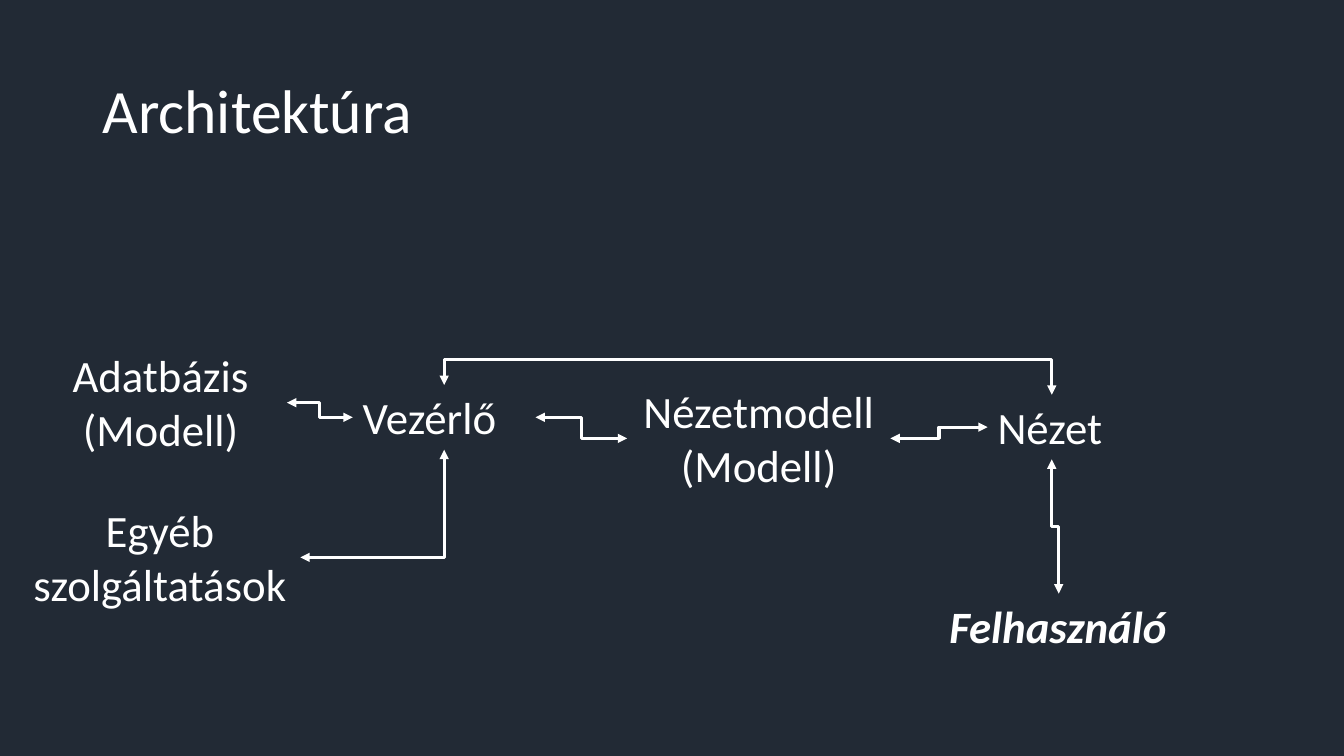
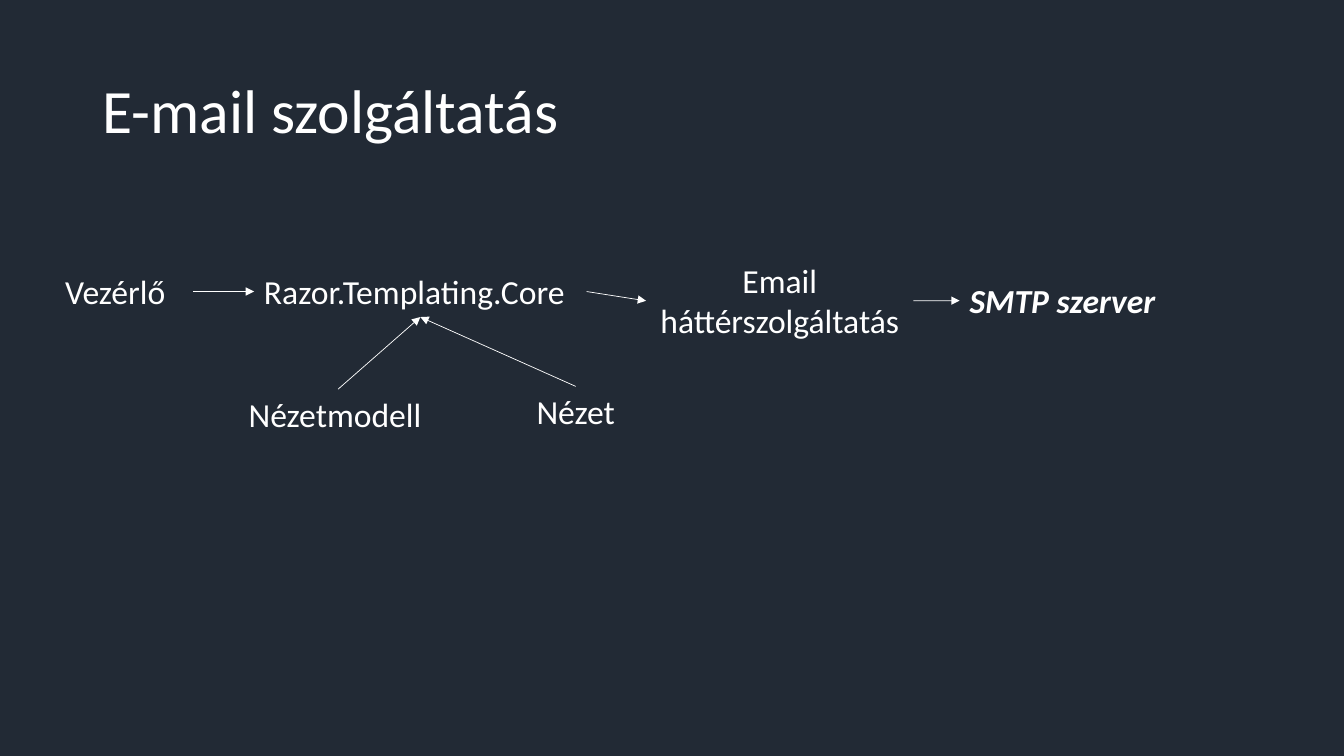
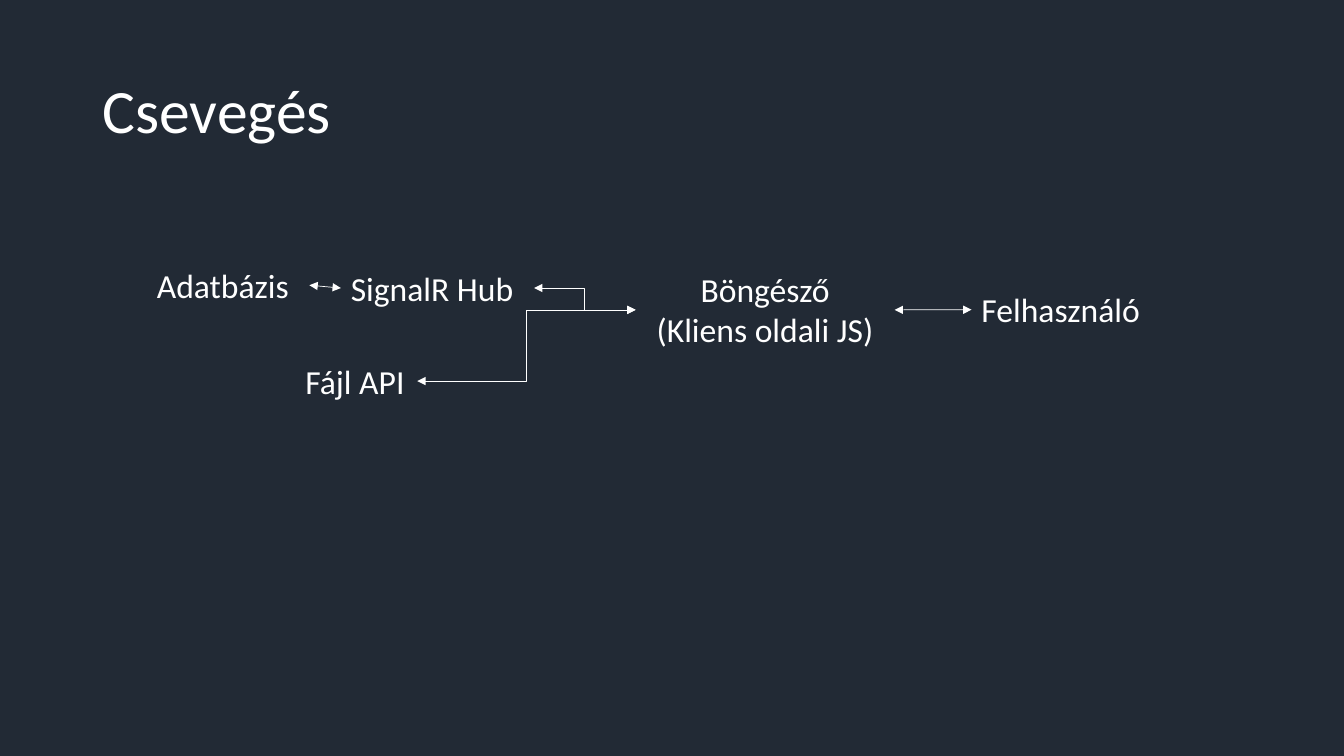
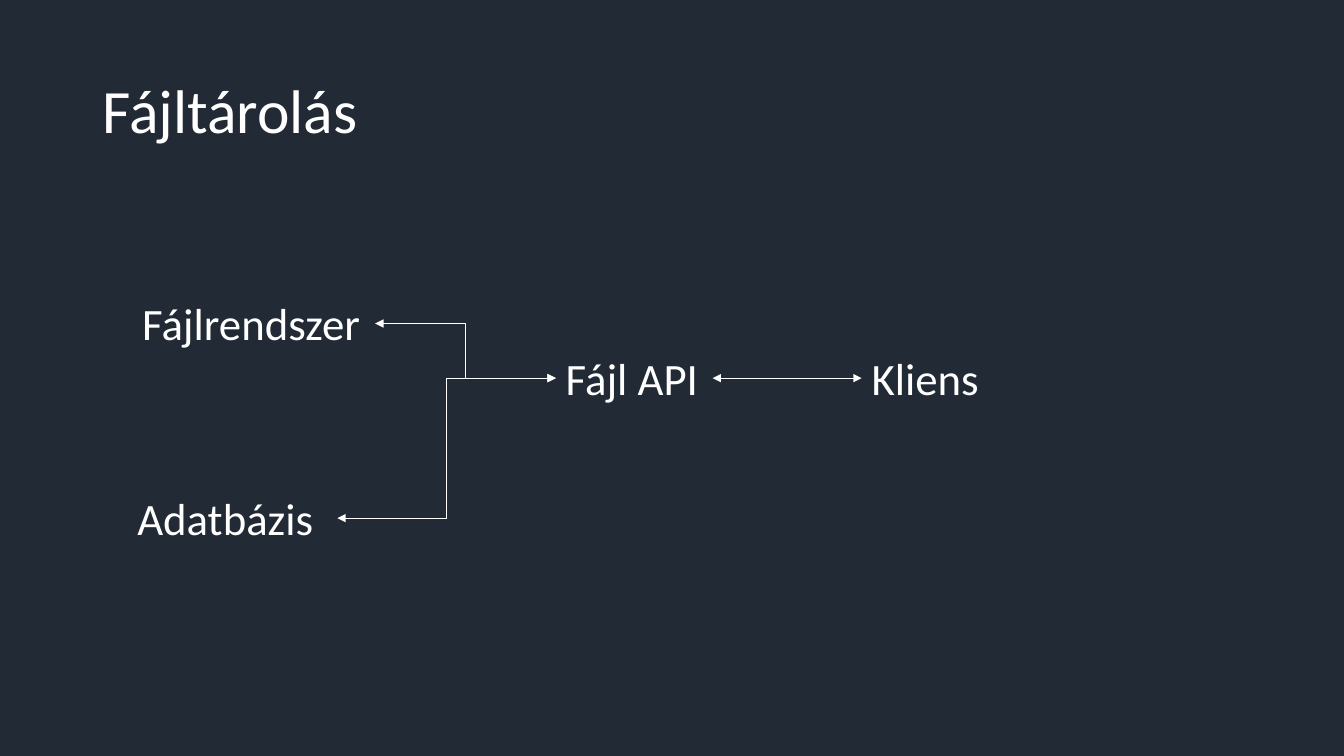
from lxml import etree
from pptx import Presentation
from pptx.dml.color import RGBColor
from pptx.enum.shapes import MSO_CONNECTOR
from pptx.enum.text import MSO_ANCHOR, MSO_AUTO_SIZE, PP_ALIGN
from pptx.oxml.ns import qn
from pptx.util import Pt

LINE, BENT = MSO_CONNECTOR.STRAIGHT, MSO_CONNECTOR.ELBOW
LEFT, MID = PP_ALIGN.LEFT, PP_ALIGN.CENTER
GROW, FIXED = MSO_AUTO_SIZE.SHAPE_TO_FIT_TEXT, MSO_AUTO_SIZE.NONE
CENTRE = MSO_ANCHOR.MIDDLE
TOP, WEST, BASE, EAST = range(4)  # sides of a box

HUES = {"back": "222A35", "ink": "FFFFFF"}
FONT = "Calibri"
BOTH = ("headEnd", "tailEnd")
AHEAD = ("tailEnd",)


def hue(name):
    return RGBColor.from_string(HUES[name])


def apply(thing, form):
    for key, val in form.items():
        setattr(thing, key, val)


def style(frame, size, align, **more):
    for para in frame.paragraphs:
        para.alignment = align
        apply(para.font, {"name": FONT, "size": Pt(size), **more})
        para.font.color.rgb = hue("ink")


# Shared background and title place
def setup():
    deck = Presentation()
    apply(deck, {"slide_width": Pt(960), "slide_height": Pt(540)})
    fill = deck.slide_master.background.fill
    fill.solid()
    fill.fore_color.rgb = hue("back")
    title = deck.slide_layouts[5].placeholders[0]
    apply(title, {"left": Pt(66), "top": Pt(28.75),
                  "width": Pt(828), "height": Pt(104.4)})
    return deck


def page(deck, text):
    slide = deck.slides.add_slide(deck.slide_layouts[5])
    frame = slide.shapes.title.text_frame
    frame.text = text
    apply(frame, {"vertical_anchor": CENTRE, "auto_size": FIXED})
    style(frame, 44, LEFT)
    frame.paragraphs[0].line_spacing = 0.9
    return slide


# Text label; its height follows from font size and row count
def label(slide, text, x, y, wide, size, align=LEFT, rows=1, **more):
    high = 7.2 + 1.22 * size * rows
    box = slide.shapes.add_textbox(Pt(x), Pt(y), Pt(wide), Pt(high))
    frame = box.text_frame
    frame.text = text
    apply(frame, {"word_wrap": True, "auto_size": GROW})
    style(frame, size, align, **more)
    return box


# Arrow between the sides of two labels
def link(slide, start, out, end, into, kind=LINE, ends=BOTH, width=0.5):
    wire = slide.shapes.add_connector(kind, 0, 0, 0, 0)
    wire.begin_connect(start, out)
    wire.end_connect(end, into)
    wire.line.width = Pt(width)
    wire.line.color.rgb = hue("ink")
    for tip in ends:
        etree.SubElement(wire.line._ln, qn("a:" + tip), type="triangle")
    etree.SubElement(wire._element.spPr, qn("a:effectLst"))
    return wire


def corner(wire):
    """Bend once only: across, then up or down."""
    wire._element.spPr.find(qn("a:prstGeom")).set("prst", "bentConnector2")


def upright(wire, rise=None):
    """Turn an elbow to leave vertically; rise lifts its bar above the start."""
    dx, dy = wire.end_x - wire.begin_x, wire.end_y - wire.begin_y
    mid_x, mid_y = wire.begin_x + dx // 2, wire.begin_y + dy // 2
    wide, high = abs(dy), abs(dx)
    apply(wire, {"left": mid_x - wide // 2, "top": mid_y - high // 2,
                 "width": wide, "height": high})
    frame = wire._element.spPr.find(qn("a:xfrm"))
    turn = {"rot": 270 * 60000, "flipH": int(dy > 0), "flipV": int(dx < 0)}
    for key, val in turn.items():
        frame.set(key, str(val))
    if rise:
        guides = wire._element.spPr.find(qn("a:prstGeom")).get_or_add_avLst()
        part = round(-Pt(rise) / wide * 100000)
        etree.SubElement(guides, qn("a:gd"), name="adj1", fmla=f"val {part}")


def design(deck):
    slide = page(deck, "Architektúra")
    ctrl = label(slide, "Vezérlő", 252, 275, 130.5, 32)
    view = label(slide, "Nézet", 705.5, 282, 91.5, 32)
    model = label(slide, "Nézetmodell\n(Modell)", 448, 270.5, 188, 32, MID, 2)
    data = label(slide, "Adatbázis\n(Modell)", 24.5, 245, 180.5, 32, MID, 2)
    other = label(slide, "Egyéb szolgáltatások", 14, 355.5, 200.5, 32, MID, 2)
    user = label(slide, "Felhasználó", 671, 424, 170.5, 32,
                 bold=True, italic=True)

    def bend(*stops):
        return link(slide, *stops, kind=BENT, width=2.25)

    for start, end in ((ctrl, model), (model, view), (data, ctrl)):
        bend(start, EAST, end, WEST)
    corner(bend(other, EAST, ctrl, BASE))
    upright(bend(ctrl, TOP, view, TOP), rise=18.5)
    upright(bend(user, TOP, view, BASE))


def mail(deck):
    slide = page(deck, "E-mail szolgáltatás")
    ctrl = label(slide, "Vezérlő", 39.5, 190, 98.5, 24)
    razor = label(slide, "Razor.Templating.Core", 181.5, 190, 237.5, 24)
    view = label(slide, "Nézet", 361, 276, 100.5, 24, MID)
    work = label(slide, "Email háttérszolgáltatás", 461.5, 182, 191, 24, MID, 2)
    smtp = label(slide, "SMTP szerver", 685.5, 196.5, 168.5, 24,
                 bold=True, italic=True)
    model = label(slide, "Nézetmodell", 170.5, 278, 142, 24)
    for start, end in ((ctrl, razor), (razor, work), (work, smtp)):
        link(slide, start, EAST, end, WEST, ends=AHEAD)
    for start in (view, model):
        link(slide, start, TOP, razor, BASE, ends=AHEAD)


def chat(deck):
    slide = page(deck, "Csevegés")
    data = label(slide, "Adatbázis", 105, 185.5, 116, 24)
    hub = label(slide, "SignalR Hub", 243.5, 187.5, 138, 24)
    web = label(slide, "Böngésző\n(Kliens oldali JS)", 454, 188.5, 185, 24,
                MID, 2)
    user = label(slide, "Felhasználó", 694, 203, 147, 24)
    files = label(slide, "Fájl API", 211, 254, 87, 24)
    for start, end, kind in ((data, hub, LINE), (web, user, LINE),
                             (hub, web, BENT), (files, web, BENT)):
        link(slide, start, EAST, end, WEST, kind)


def store(deck):
    slide = page(deck, "Fájltárolás")
    disk = label(slide, "Fájlrendszer", 91, 208, 177, 32, MID)
    data = label(slide, "Adatbázis", 91, 347, 150, 32)
    files = label(slide, "Fájl API", 397, 247, 112, 32)
    guest = label(slide, "Kliens", 615.5, 247, 177, 32)
    for start, end, kind in ((files, guest, LINE), (disk, files, BENT),
                             (data, files, BENT)):
        link(slide, start, EAST, end, WEST, kind)


def main():
    deck = setup()
    for build in (design, mail, chat, store):
        build(deck)
    deck.save("out.pptx")


if __name__ == "__main__":
    main()
